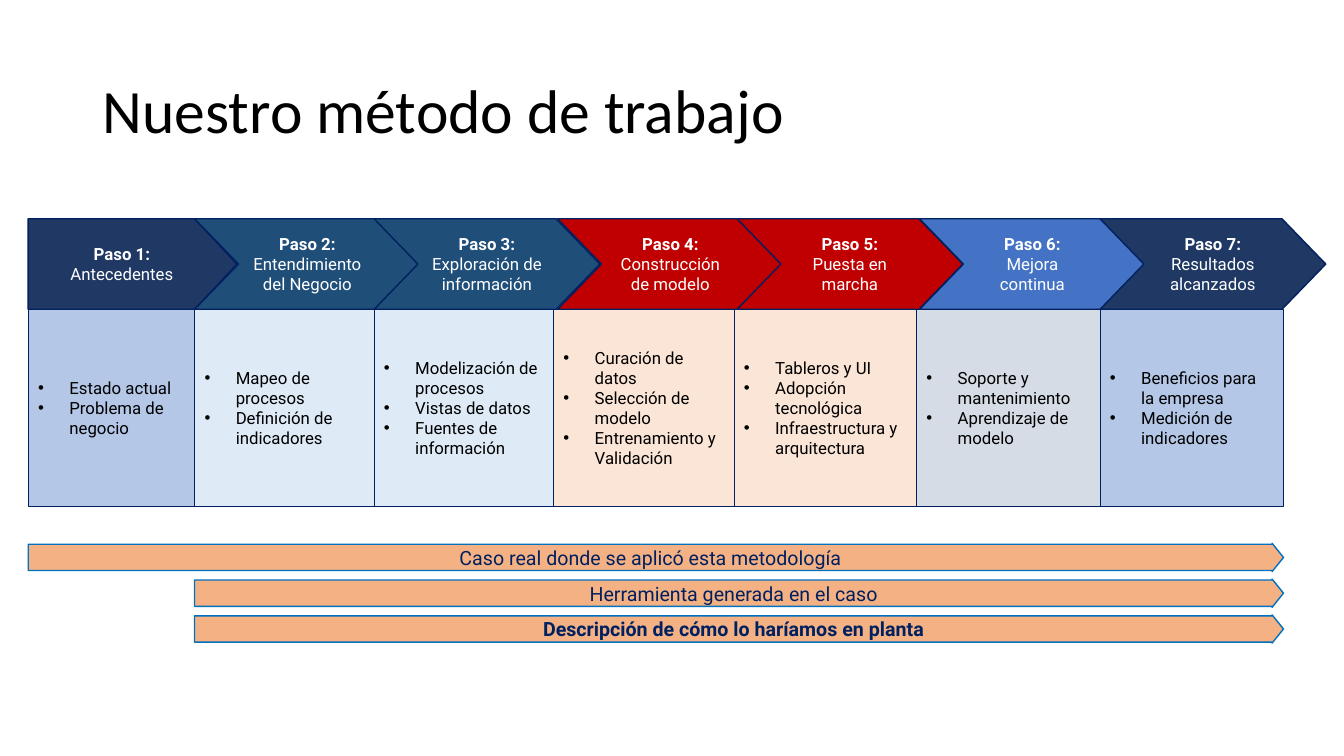
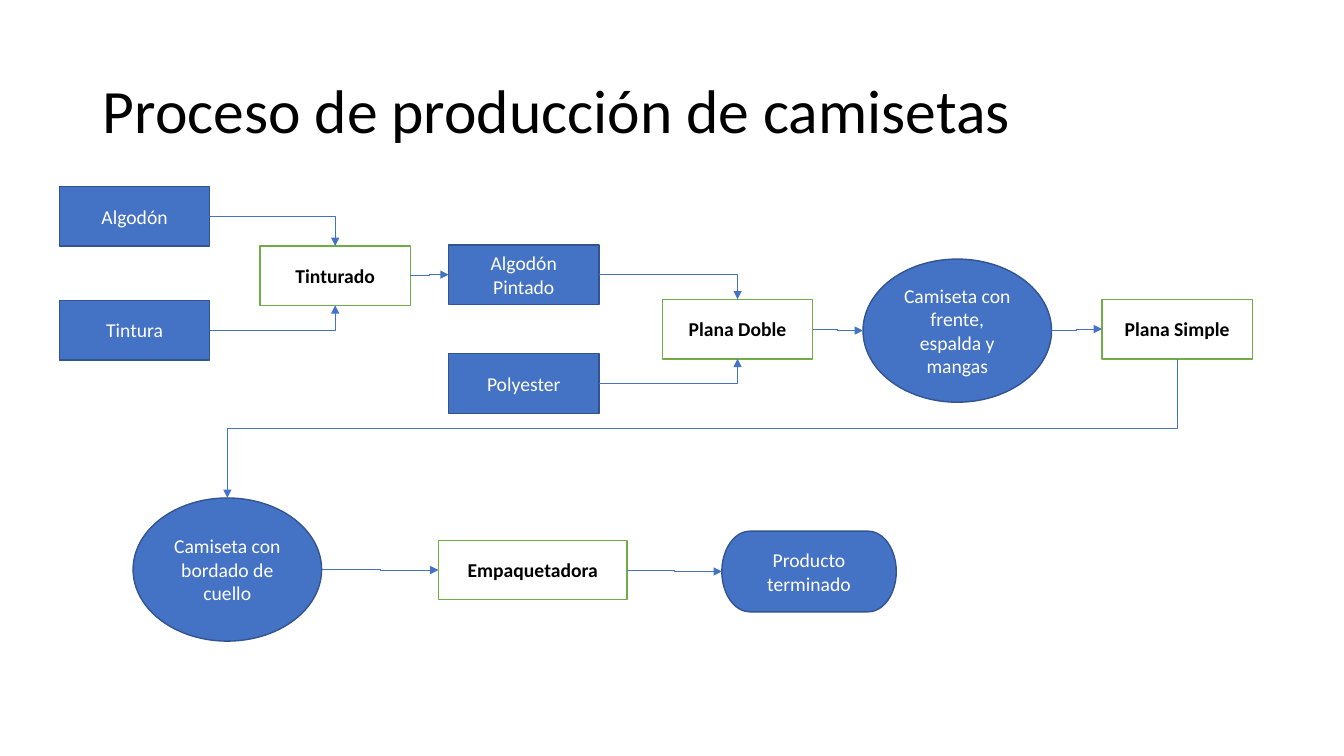
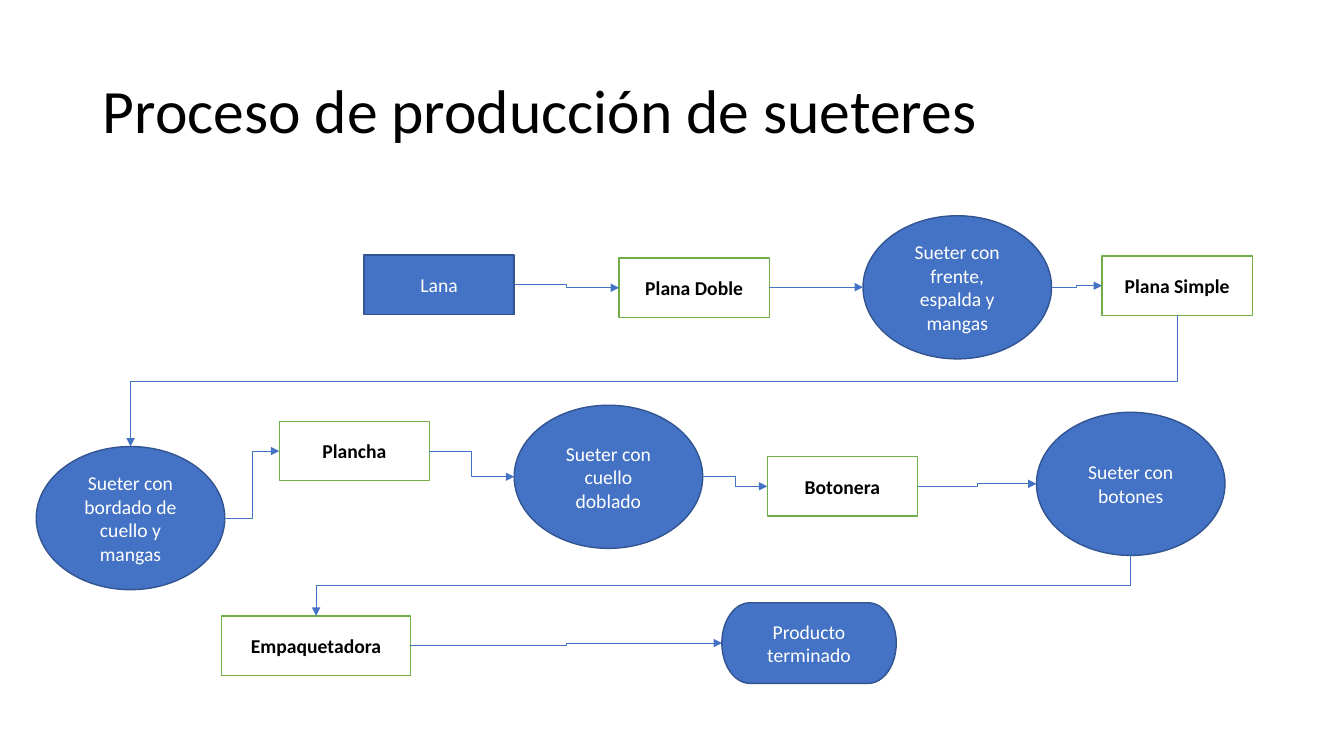
from dataclasses import dataclass

from lxml import etree
from pptx import Presentation
from pptx import util as u
from pptx.dml.color import RGBColor
from pptx.enum import shapes, text
from pptx.oxml.ns import qn

# ---- Content ----
METHOD_TITLE = "Nuestro método de trabajo"
# heading, name, band tone, panel tone, band offset from its column, tasks
STEPS = [
    ("Paso 1:", "Antecedentes", "203864", "B4C7E7", 0,
     ["Estado actual", "Problema de negocio"]),
    ("Paso 2:", "Entendimiento del Negocio", "1F4E79", "DEEBF7", 0,
     ["Mapeo de procesos", "Definición de indicadores"]),
    ("Paso 3:", "Exploración de información", "1F4E79", "DEEBF7", 0,
     ["Modelización de procesos", "Vistas de datos", "Fuentes de información"]),
    ("Paso 4:", "Construcción de modelo", "C00000", "FBE5D6", 0.04,
     ["Curación de datos", "Selección de modelo", "Entrenamiento y Validación"]),
    ("Paso 5:", "Puesta en marcha", "C00000", "FBE5D6", 0.03,
     ["Tableros y UI", "Adopción tecnológica", "Infraestructura y arquitectura"]),
    ("Paso 6:", "Mejora continua", "4472C4", "D6DCE5", 0.03,
     ["Soporte y mantenimiento", "Aprendizaje de modelo"]),
    ("Paso 7:", "Resultados alcanzados", "203864", "B4C7E7", 0,
     ["Beneficios para la empresa", "Medición de indicadores"]),
]
# text, first column covered, bold
SCOPES = [
    ("Caso real donde se aplicó esta metodología", 0, False),
    ("Herramienta generada en el caso", 1, False),
    ("Descripción de cómo lo haríamos en planta", 1, True),
]

# Each flow: nodes as key -> (kind, text, left, top); links as (from, side, to, side)
FLOWS = [
    ("Proceso de producción de camisetas", {
        "cotton": ("material", "Algodón", 0.59, 1.85),
        "dye": ("material", "Tintura", 0.59, 2.98),
        "dyeing": ("machine", "Tinturado", 2.58, 2.44),
        "dyed": ("material", "Algodón Pintado", 4.45, 2.43),
        "polyester": ("material", "Polyester", 4.45, 3.51),
        "double": ("machine", "Plana Doble", 6.57, 2.97),
        "body": ("piece", "Camiseta con frente, espalda y mangas", 8.56, 2.57),
        "single": ("machine", "Plana Simple", 10.93, 2.97),
        "collar": ("piece", "Camiseta con bordado de cuello", 1.32, 4.94),
        "packer": ("packer", "Empaquetadora", 4.35, 5.36),
        "finished": ("product", "Producto terminado", 7.16, 5.27),
    }, [
        ("cotton", "right", "dyeing", "top"),
        ("dye", "right", "dyeing", "bottom"),
        ("dyeing", "right", "dyed", "left"),
        ("dyed", "right", "double", "top"),
        ("polyester", "right", "double", "bottom"),
        ("double", "right", "body", "left"),
        ("body", "right", "single", "left"),
        ("single", "bottom", "collar", "top"),
        ("collar", "right", "packer", "left"),
        ("packer", "right", "finished", "left"),
    ]),
    ("Proceso de producción de sueteres", {
        "wool": ("material", "Lana", 3.61, 2.53),
        "double": ("machine", "Plana Doble", 6.14, 2.56),
        "body": ("piece", "Sueter con frente, espalda y mangas", 8.56, 2.14),
        "single": ("machine", "Plana Simple", 10.93, 2.54),
        "trimmed": ("piece", "Sueter con bordado de cuello y mangas", 0.36, 4.43),
        "iron": ("machine", "Plancha", 2.77, 4.18),
        "folded": ("piece", "Sueter con cuello doblado", 5.1, 4.02),
        "buttoner": ("machine", "Botonera", 7.61, 4.53),
        "buttoned": ("piece", "Sueter con botones", 10.28, 4.09),
        "packer": ("packer", "Empaquetadora", 2.2, 6.11),
        "finished": ("product", "Producto terminado", 7.16, 5.98),
    }, [
        ("wool", "right", "double", "left"),
        ("double", "right", "body", "left"),
        ("body", "right", "single", "left"),
        ("single", "bottom", "trimmed", "top"),
        ("trimmed", "right", "iron", "left"),
        ("iron", "right", "folded", "left"),
        ("folded", "right", "buttoner", "left"),
        ("buttoner", "right", "buttoned", "left"),
        ("buttoned", "bottom", "packer", "top"),
        ("packer", "right", "finished", "left"),
    ]),
]


# ---- Theme and grid ----
@dataclass(frozen=True)
class Theme:
    """Colours, fonts and type sizes shared by the slides."""
    black: str = "000000"
    white: str = "FFFFFF"
    navy: str = "002060"
    blue: str = "4472C4"
    blue_edge: str = "325491"
    green: str = "70AD47"
    scope: str = "F4B183"
    scope_edge: str = "0070C0"
    font: str = "Calibri"
    method_font: str = "Roboto"
    title_size: float = 44
    flow_size: float = 14
    step_size: float = 12


THEME = Theme()
SLIDE_W, SLIDE_H = 13.33, 7.5
TITLE_BOX = (0.92, 0.4, 11.5, 1.45)
COLUMNS = [0.28, 1.93, 3.71, 5.49, 7.28, 9.09, 10.91, 12.73]
BAND_TOP, BAND_H, PANEL_H = 2.17, 0.9, 1.95
FIRST_BAND_W, BAND_W = 2.07, 2.24
SCOPE_TOP, SCOPE_PITCH, SCOPE_H = 5.39, 0.355, 0.28
BULLET_INDENT = 0.31

PRESET = shapes.MSO_SHAPE
# preset, width, height, fill, edge, text colour, bold
KINDS = {
    "material": (PRESET.RECTANGLE, 1.49, 0.59, THEME.blue, THEME.blue_edge, THEME.white, False),
    "machine": (PRESET.RECTANGLE, 1.49, 0.59, THEME.white, THEME.green, THEME.black, True),
    "packer": (PRESET.RECTANGLE, 1.87, 0.59, THEME.white, THEME.green, THEME.black, True),
    "piece": (PRESET.OVAL, 1.87, 1.42, THEME.blue, THEME.blue_edge, THEME.white, False),
    "product": (PRESET.FLOWCHART_TERMINATOR, 1.73, 0.8, THEME.blue, THEME.blue_edge,
                THEME.white, False),
}
# side -> share of width, share of height, connection site (an oval has eight sites)
SIDES = {"top": (0.5, 0, 0), "left": (0, 0.5, 1), "bottom": (0.5, 1, 2), "right": (1, 0.5, 3)}


def add_run(paragraph, words, font, size, color, bold=False):
    """Append one formatted run."""
    run = paragraph.add_run()
    run.text = words
    run.font.name, run.font.size, run.font.bold = font, u.Pt(size), bold
    run.font.color.rgb = RGBColor.from_string(color)


def add_block(slide, preset, box, fill, edge, edge_width=1, adjust=()):
    """Add a flat preset shape with centred-height text."""
    block = slide.shapes.add_shape(preset, *map(u.Inches, box))
    block.shadow.inherit = False
    for i, share in enumerate(adjust):
        block.adjustments[i] = share
    block.fill.solid()
    block.fill.fore_color.rgb = RGBColor.from_string(fill)
    block.line.color.rgb = RGBColor.from_string(edge)
    block.line.width = u.Pt(edge_width)
    block.text_frame.word_wrap = True
    block.text_frame.vertical_anchor = text.MSO_ANCHOR.MIDDLE
    return block


def write(block, lines, font, size, color, bullets=False):
    """Write (words, bold) lines, centred or as a bulleted list."""
    frame = block.text_frame
    for i, (words, bold) in enumerate(lines):
        paragraph = frame.add_paragraph() if i else frame.paragraphs[0]
        paragraph.alignment = text.PP_ALIGN.LEFT if bullets else text.PP_ALIGN.CENTER
        if bullets:
            props = paragraph._p.get_or_add_pPr()
            props.set("marL", str(u.Inches(BULLET_INDENT)))
            props.set("indent", str(-u.Inches(BULLET_INDENT)))
            etree.SubElement(props, qn("a:buFont"), typeface="Arial")
            etree.SubElement(props, qn("a:buChar"), char="•")
        add_run(paragraph, words, font, size, color, bold)


def new_slide(deck, title):
    """Add a title-only slide with the shared title style."""
    slide = deck.slides.add_slide(deck.slide_layouts[5])
    heading = slide.shapes.title
    heading.left, heading.top, heading.width, heading.height = map(u.Inches, TITLE_BOX)
    frame = heading.text_frame
    frame.word_wrap, frame.auto_size = True, text.MSO_AUTO_SIZE.NONE
    frame.vertical_anchor = text.MSO_ANCHOR.MIDDLE
    paragraph = frame.paragraphs[0]
    paragraph.alignment, paragraph.line_spacing = text.PP_ALIGN.LEFT, 0.9
    add_run(paragraph, title, THEME.font, THEME.title_size, THEME.black)
    return slide


def build_method(deck):
    """Steps as chevrons over task panels, with the scope arrows below."""
    slide = new_slide(deck, METHOD_TITLE)
    for i, (heading, name, tone, _, offset, _) in enumerate(STEPS):
        preset, width, adjust = ((PRESET.NOTCHED_RIGHT_ARROW, BAND_W, (1, 0.484)) if i else
                                 (PRESET.PENTAGON, FIRST_BAND_W, (0.468,)))
        band = add_block(slide, preset, (COLUMNS[i] + offset, BAND_TOP, width, BAND_H),
                         tone, THEME.navy, adjust=adjust)
        write(band, [(heading, True), (name, False)],
              THEME.method_font, THEME.step_size, THEME.white)
    for left, right, (_, _, _, tone, _, tasks) in zip(COLUMNS, COLUMNS[1:], STEPS):
        panel = add_block(slide, PRESET.RECTANGLE,
                          (left, BAND_TOP + BAND_H, right - left, PANEL_H),
                          tone, THEME.navy, 0.5)
        write(panel, [(task, False) for task in tasks],
              THEME.method_font, THEME.step_size, THEME.black, bullets=True)
    for row, (words, first, bold) in enumerate(SCOPES):
        left = COLUMNS[first]
        scope = add_block(slide, PRESET.RIGHT_ARROW,
                          (left, SCOPE_TOP + row * SCOPE_PITCH, COLUMNS[-1] - left, SCOPE_H),
                          THEME.scope, THEME.scope_edge, adjust=(0.931, 0.402))
        write(scope, [(words, bold)], THEME.method_font, THEME.flow_size, THEME.navy)


def site(block, side):
    """Point and connection index at the middle of one side."""
    across, down, index = SIDES[side]
    if block.auto_shape_type == PRESET.OVAL:
        index *= 2
    return (block.left + int(block.width * across),
            block.top + int(block.height * down), index)


def link(slide, source, leaving, target, entering):
    """Join two blocks with a bent arrow."""
    x1, y1, start = site(source, leaving)
    x2, y2, end = site(target, entering)
    turned = leaving == "bottom"
    ends = (x1, y1, x2, y2)
    if turned:  # laid out sideways, then turned a quarter
        mid_x, mid_y = (x1 + x2) // 2, (y1 + y2) // 2
        half_w, half_h = (y2 - y1) // 2, (x1 - x2) // 2
        ends = (mid_x - half_w, mid_y - half_h, mid_x + half_w, mid_y + half_h)
    arrow = slide.shapes.add_connector(shapes.MSO_CONNECTOR.ELBOW, *ends)
    arrow.line.color.rgb = RGBColor.from_string(THEME.blue)
    arrow.line.width = u.Pt(0.5)
    props = arrow.element.spPr
    if turned:
        props.find(qn("a:xfrm")).set("rot", "5400000")
    elif entering != "left":
        props.find(qn("a:prstGeom")).set("prst", "bentConnector2")
    etree.SubElement(props.find(qn("a:ln")), qn("a:tailEnd"), type="triangle")
    etree.SubElement(props, qn("a:effectLst"))
    joints = arrow.element.find(".//" + qn("p:cNvCxnSpPr"))
    for tag, block, index in (("a:stCxn", source, start), ("a:endCxn", target, end)):
        etree.SubElement(joints, qn(tag), id=str(block.shape_id), idx=str(index))


def build_flow(deck, title, nodes, links):
    """Production flow: blocks by kind, then the arrows between them."""
    slide = new_slide(deck, title)
    blocks = {}
    for key, (kind, words, left, top) in nodes.items():
        preset, width, height, fill, edge, color, bold = KINDS[kind]
        blocks[key] = add_block(slide, preset, (left, top, width, height), fill, edge)
        write(blocks[key], [(words, bold)], THEME.font, THEME.flow_size, color)
    for source, leaving, target, entering in links:
        link(slide, blocks[source], leaving, blocks[target], entering)


def main():
    """Build and save the deck."""
    deck = Presentation()
    deck.slide_width, deck.slide_height = u.Inches(SLIDE_W), u.Inches(SLIDE_H)
    build_method(deck)
    for flow in FLOWS:
        build_flow(deck, *flow)
    deck.save("out.pptx")


main()
